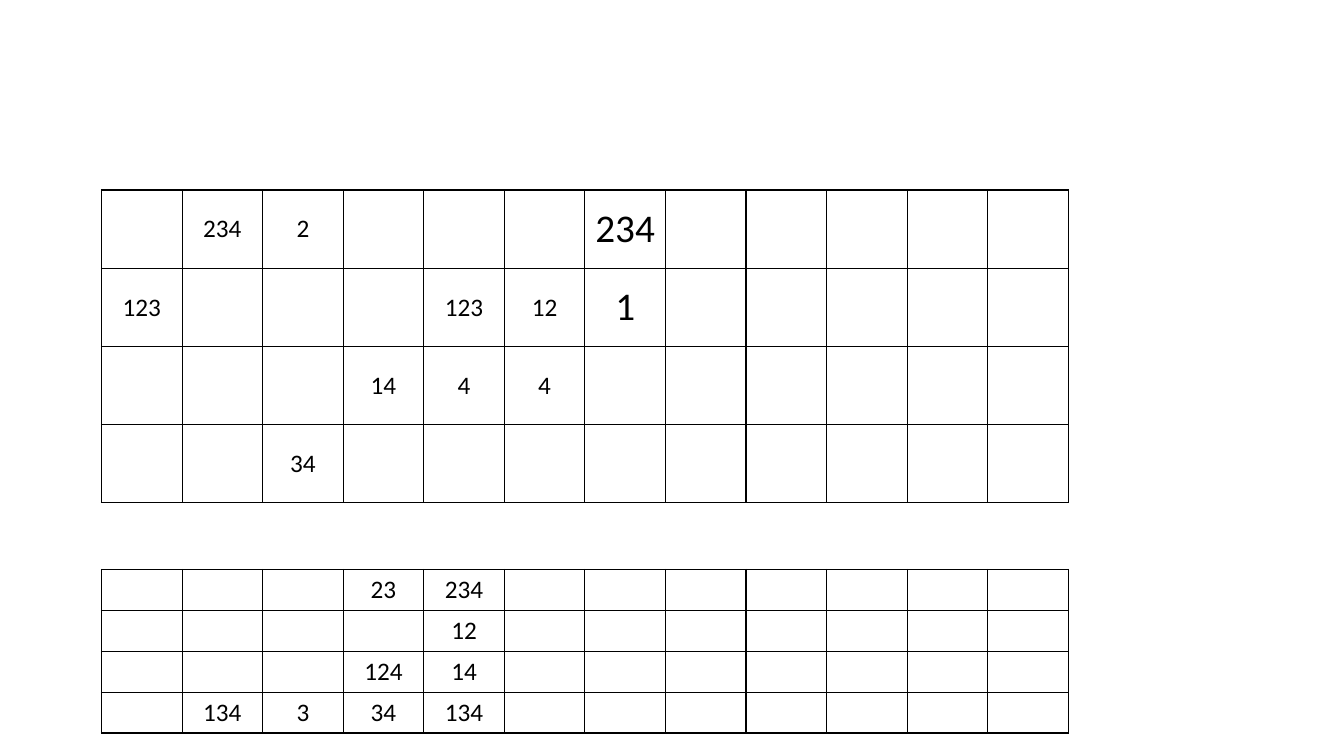
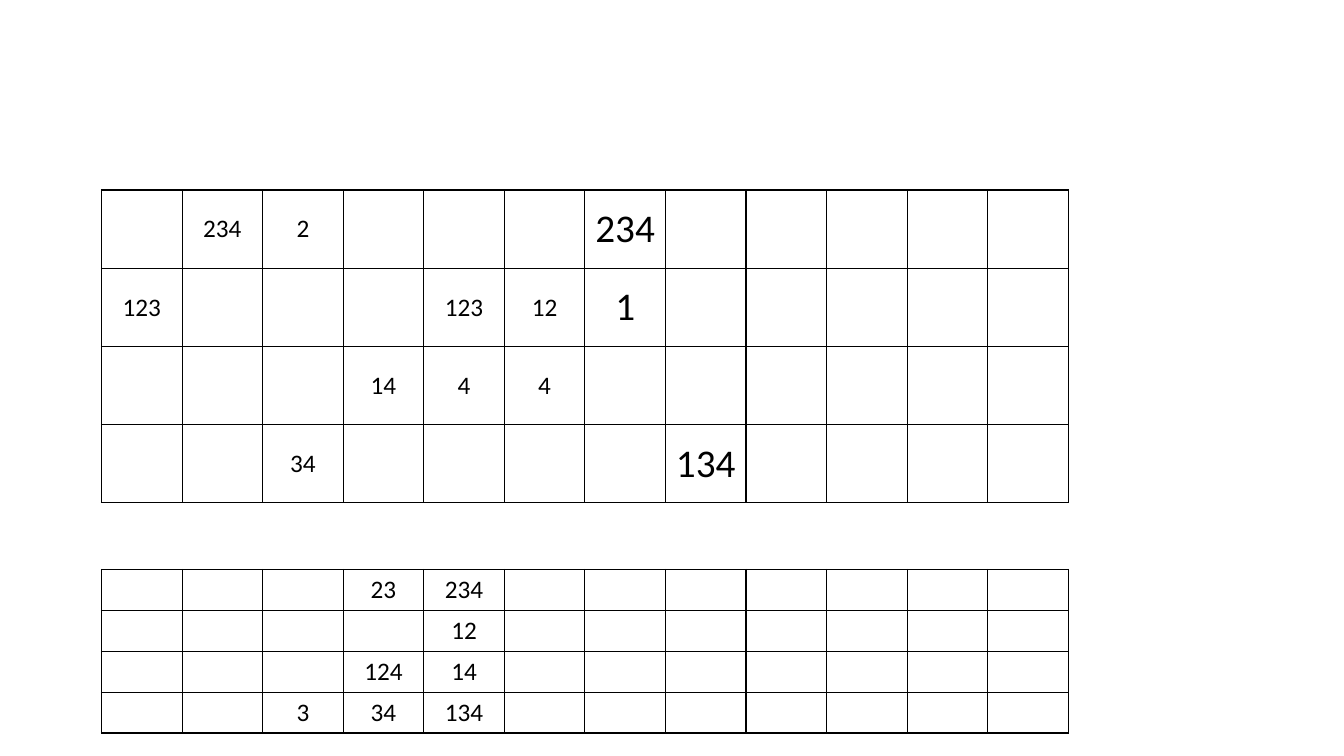
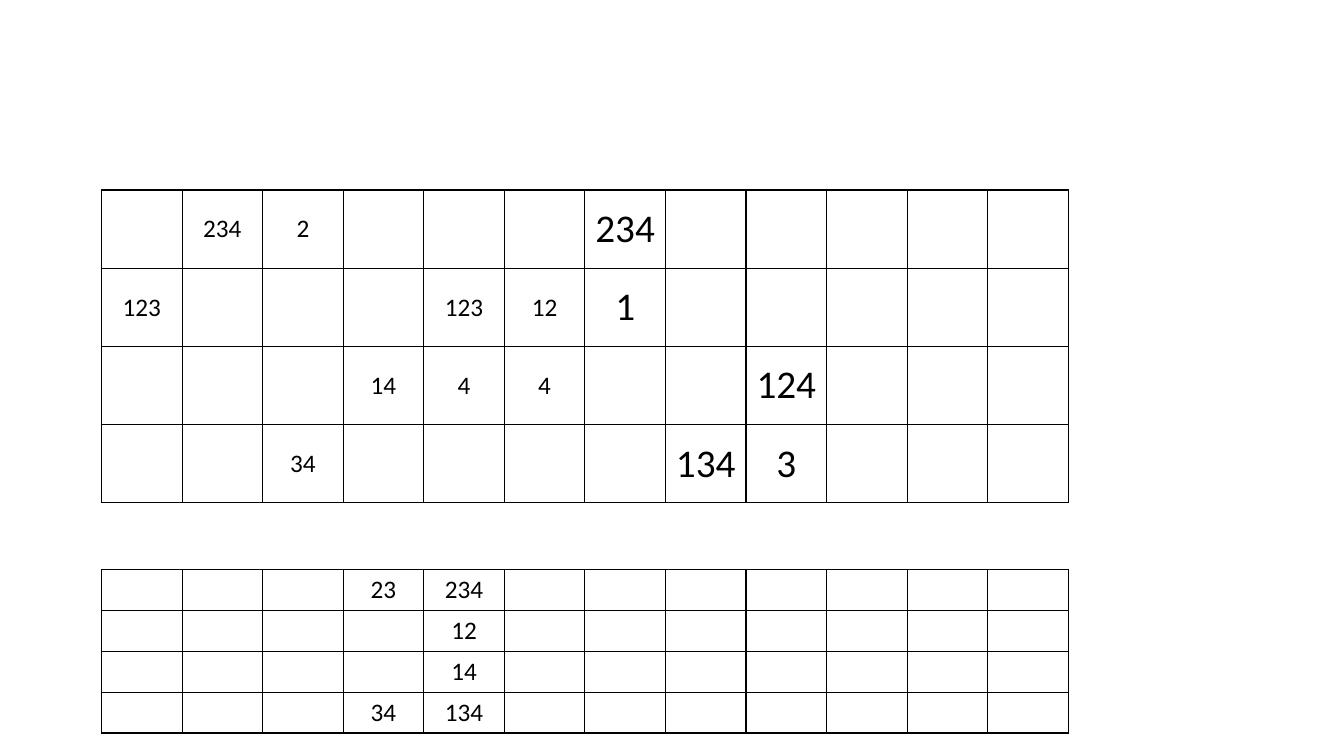
import lxml.etree
import pptx
import pptx.dml.color
import pptx.enum.text
import pptx.oxml.ns
import pptx.util

BLACK, WHITE = "000000", "FFFFFF"
FONT = "Calibri"
SMALL, LARGE = 18, 28
BORDER_WIDTH = 1
ROWS, COLUMNS = 4, 12
COLUMN_WIDTH = 2.03
CELL_MARGIN = 0.1

# Boxes in centimetres: left, top, width, height
BOARD_BOX = (2.56, 4.79, COLUMNS * COLUMN_WIDTH, ROWS * 1.97)
POOL_BOX = (2.56, 14.35, COLUMNS * COLUMN_WIDTH, ROWS * 1.03)

# Starting numbers by (row, column)
BOARD = {(0, 1): "234", (0, 2): "2", (0, 6): "234",
         (1, 0): "123", (1, 4): "123", (1, 5): "12", (1, 6): "1",
         (2, 3): "14", (2, 4): "4", (2, 5): "4",
         (3, 2): "34"}
POOL = {(0, 3): "23", (0, 4): "234",
        (1, 4): "12",
        (2, 3): "124", (2, 4): "14",
        (3, 1): "134", (3, 2): "3", (3, 3): "34", (3, 4): "134"}
FIRST_LARGE_COLUMN = 6

# Moves from pool to board made before each slide
MOVES = [[],
         [((3, 1), (3, 7))],
         [((2, 3), (2, 8)), ((3, 2), (3, 8))]]


def color(value):
    return pptx.dml.color.RGBColor.from_string(value)


def set_borders(cell):
    properties = cell._tc.get_or_add_tcPr()
    name = pptx.oxml.ns.qn
    for index, side in enumerate(("a:lnL", "a:lnR", "a:lnT", "a:lnB")):
        line = lxml.etree.Element(name(side), w=str(pptx.util.Pt(BORDER_WIDTH)))
        fill = lxml.etree.SubElement(line, name("a:solidFill"))
        lxml.etree.SubElement(fill, name("a:srgbClr"), val=BLACK)
        properties.insert(index, line)


def format_cell(cell, fill):
    if fill:
        cell.fill.solid()
        cell.fill.fore_color.rgb = color(fill)
    else:
        cell.fill.background()
    set_borders(cell)
    cell.vertical_anchor = pptx.enum.text.MSO_ANCHOR.MIDDLE
    margin = pptx.util.Cm(CELL_MARGIN)
    cell.margin_left = cell.margin_right = margin
    cell.margin_top = cell.margin_bottom = margin


def write_number(cell, text, size):
    paragraph = cell.text_frame.paragraphs[0]
    paragraph.alignment = pptx.enum.text.PP_ALIGN.CENTER
    run = paragraph.add_run()
    run.text = text
    run.font.name = FONT
    run.font.size = pptx.util.Pt(size)
    run.font.color.rgb = color(BLACK)


def add_grid(slide, box, numbers, fill=None):
    left, top, width, height = (pptx.util.Cm(length) for length in box)
    table = slide.shapes.add_table(ROWS, COLUMNS, left, top, width, height).table
    table.first_row = table.horz_banding = False
    for row in range(ROWS):
        for column in range(COLUMNS):
            cell = table.cell(row, column)
            format_cell(cell, fill)
            if (row, column) in numbers:
                size = LARGE if column >= FIRST_LARGE_COLUMN else SMALL
                write_number(cell, numbers[row, column], size)


def main():
    presentation = pptx.Presentation()
    presentation.slide_width = pptx.util.Cm(33.87)
    presentation.slide_height = pptx.util.Cm(19.05)
    blank_layout = presentation.slide_layouts[6]

    board, pool = dict(BOARD), dict(POOL)
    for moves in MOVES:
        for source, target in moves:
            board[target] = pool.pop(source)
        slide = presentation.slides.add_slide(blank_layout)
        add_grid(slide, BOARD_BOX, board, WHITE)
        add_grid(slide, POOL_BOX, pool)

    presentation.save("out.pptx")


if __name__ == "__main__":
    main()
